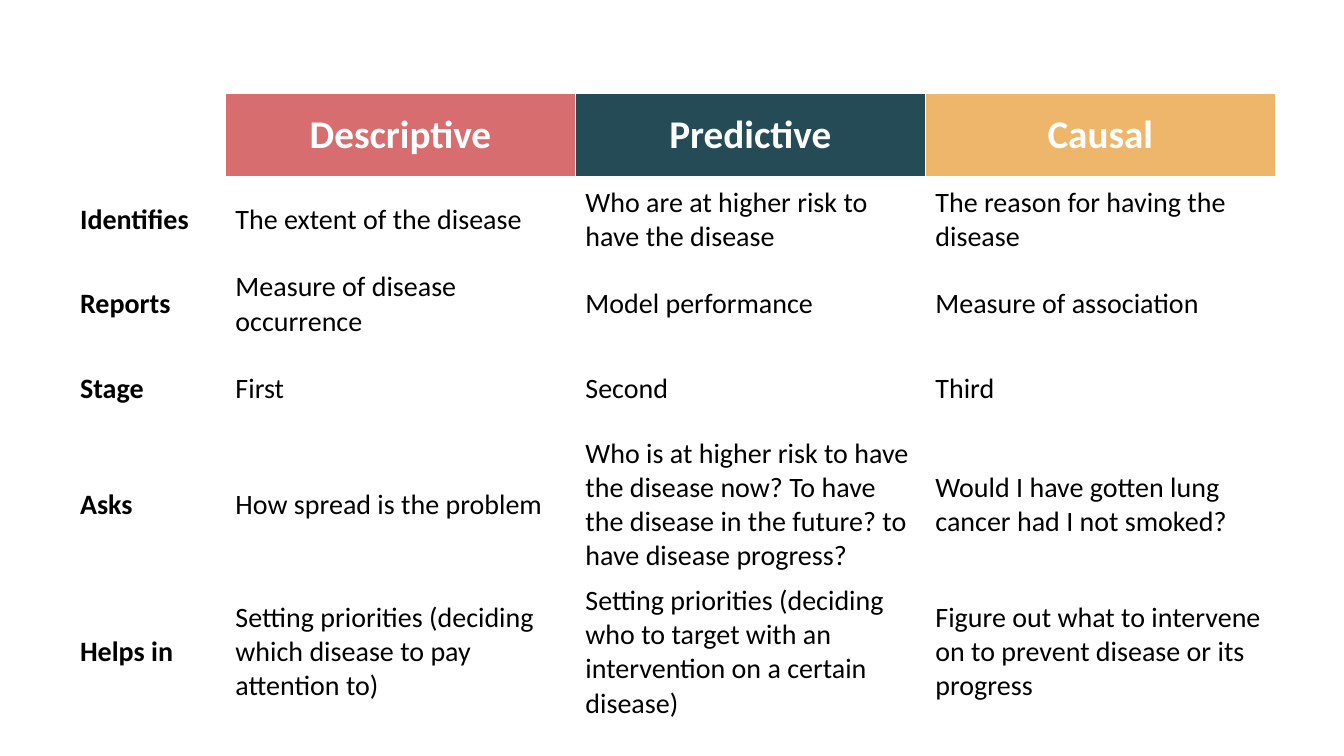
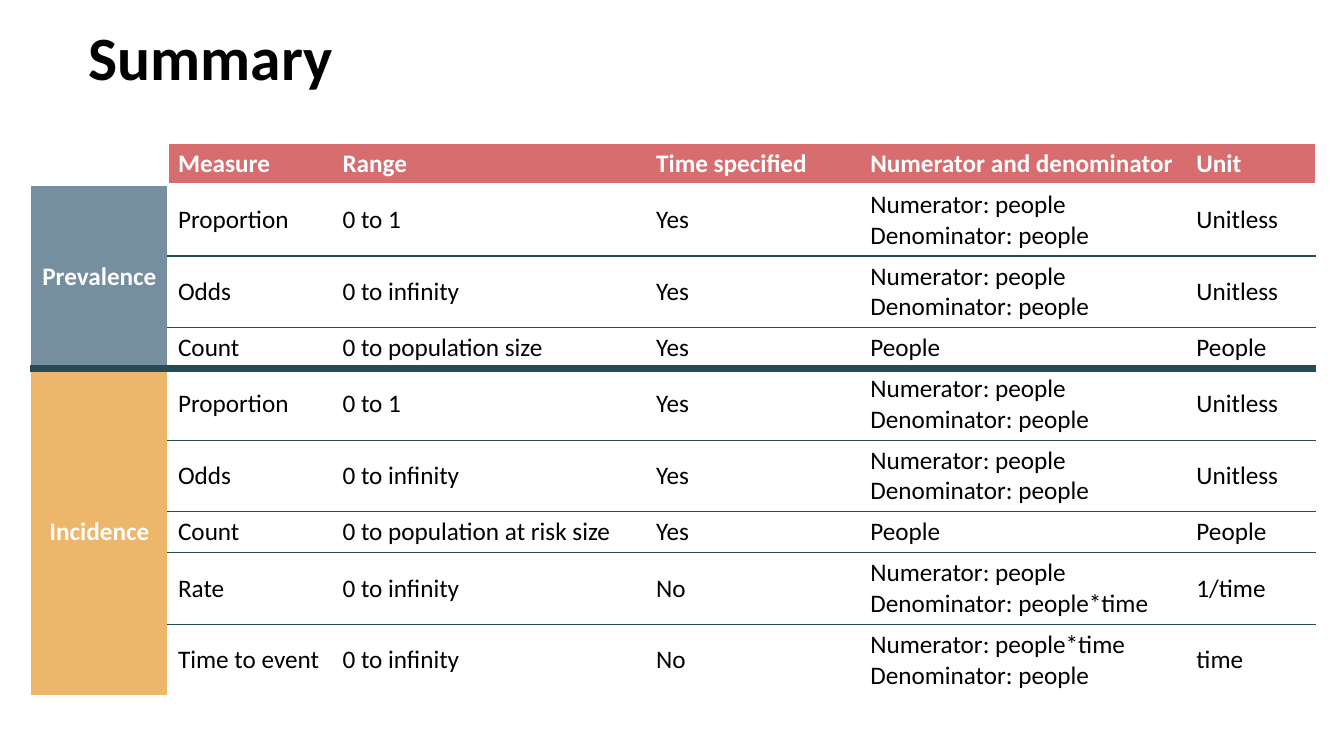
from lxml import etree
from pptx import Presentation
from pptx.dml.color import RGBColor
from pptx.enum import text as t
from pptx.oxml import ns
from pptx.util import Pt

WHITE = RGBColor(0xFF, 0xFF, 0xFF)
BLACK = RGBColor(0, 0, 0)
RED = RGBColor(0xD7, 0x6D, 0x6F)
TEAL = RGBColor(0x25, 0x4B, 0x56)
GOLD = RGBColor(0xEE, 0xB6, 0x6B)
SLATE = RGBColor(0x75, 0x8F, 0xA1)
FONT = "Calibri"
MID = t.MSO_ANCHOR.MIDDLE
LEFT, CENTER = t.PP_ALIGN.LEFT, t.PP_ALIGN.CENTER
THIN, HEAVY = (WHITE, 1), (WHITE, 3)
NONE = (WHITE, 0)


def grid(slide, left, top, widths, count, height):
    """Add a plain table of equal rows, free of header and band styling."""
    frame = slide.shapes.add_table(count, len(widths), Pt(left), Pt(top),
                                   Pt(sum(widths)), Pt(count * height))
    table = frame.table
    table.first_row = table.horz_banding = False
    for col, width in zip(table.columns, widths):
        col.width = Pt(width)
    return table


def style(cell, text, size, edges, fill=None, bold=False, align=LEFT, anchor=MID):
    """Fill in one cell; edges are (colour, width) for left, right, top, bottom."""
    props = cell._tc.get_or_add_tcPr()
    for side, (color, width) in zip("LRTB", edges):
        line = etree.SubElement(props, ns.qn(f"a:ln{side}"), w=str(Pt(width)))
        if width:
            solid = etree.SubElement(line, ns.qn("a:solidFill"))
            etree.SubElement(solid, ns.qn("a:srgbClr"), val=str(color))
        else:
            etree.SubElement(line, ns.qn("a:noFill"))
    if fill is None:
        cell.fill.background()
    else:
        cell.fill.solid()
        cell.fill.fore_color.rgb = fill
    cell.text = text
    cell.vertical_anchor = anchor
    for para in cell.text_frame.paragraphs:
        para.alignment = align
        para.font.name = FONT
        para.font.size = Pt(size)
        para.font.bold = bold
        para.font.color.rgb = BLACK if fill is None else WHITE


deck = Presentation()
deck.slide_width, deck.slide_height = Pt(960), Pt(540)

# Kinds of study
kinds = [
    ["", "Descriptive", "Predictive", "Causal"],
    ["Identifies", "The extent of the disease",
     "Who are at higher risk to have the disease",
     "The reason for having the disease"],
    ["Reports", "Measure of disease occurrence", "Model performance",
     "Measure of association"],
    ["Stage", "First", "Second", "Third"],
    ["Asks", "How spread is the problem",
     "Who is at higher risk to have the disease now? To have the disease "
     "in the future? to have disease progress?",
     "Would I have gotten lung cancer had I not smoked?"],
    ["Helps in", "Setting priorities (deciding which disease to pay attention to)",
     "Setting priorities (deciding who to target with an intervention on a "
     "certain disease)",
     "Figure out what to intervene on to prevent disease or its progress"],
]
slide = deck.slides.add_slide(deck.slide_layouts[6])
table = grid(slide, 50, 66.5, [111, 250, 250, 250], len(kinds), 60.4)
for row in table.rows:
    row.height = Pt(60.4)
heads = [None, RED, TEAL, GOLD]
for r, row in enumerate(kinds):
    for c, text in enumerate(row):
        cell = table.cell(r, c)
        if r == 0:
            style(cell, text, 28, [THIN, THIN, THIN, HEAVY], heads[c], True, CENTER)
        else:
            top = HEAVY if r == 1 else THIN
            style(cell, text, 20, [THIN, THIN, top, THIN], bold=c == 0)

# Summary of measures
slide = deck.slides.add_slide(deck.slide_layouts[5])
title = slide.shapes.title
title.left, title.top, title.width, title.height = Pt(56), Pt(5), Pt(828), Pt(76)
title.text_frame.text = "Summary"
title.text_frame.vertical_anchor = MID
para = title.text_frame.paragraphs[0]
para.alignment = LEFT
para.line_spacing = 0.9
para.font.name = FONT
para.font.size = Pt(44)
para.font.bold = True
para.font.color.rgb = BLACK

people = "Numerator: people\nDenominator: people"
share = ["Proportion", "0 to 1", "Yes", people, "Unitless"]
odds = ["Odds", "0 to infinity", "Yes", people, "Unitless"]
facts = [
    ["Measure", "Range", "Time specified", "Numerator and denominator", "Unit"],
    share,
    odds,
    ["Count", "0 to population size", "Yes", "People", "People"],
    share,
    odds,
    ["Count", "0 to population at risk size", "Yes", "People", "People"],
    ["Rate", "0 to infinity", "No", people + "*time", "1/time"],
    ["Time to event", "0 to infinity", "No",
     "Numerator: people*time\nDenominator: people", "time"],
]
groups = [("Prevalence", 1, 3, SLATE), ("Incidence", 4, 8, GOLD)]
# Horizontal rules: rules[r] lies above row r, rules[r + 1] below it
rules = [THIN, HEAVY] + [(TEAL, 1)] * 7 + [THIN]
rules[4] = (TEAL, 6)

table = grid(slide, 22, 102.5, [98, 117.5, 224, 153, 233, 92], len(facts), 29.2)
last = len(facts[0])
for r, row in enumerate(facts):
    for c, text in enumerate(row, 1):
        ends = rules[r:r + 2]
        if r == 0:
            sides = [THIN if c == 1 else NONE, THIN if c == last else NONE]
            style(table.cell(r, c), text, 18, sides + ends, RED, True,
                  anchor=t.MSO_ANCHOR.TOP)
        else:
            style(table.cell(r, c), text, 18, [THIN, THIN] + ends)
style(table.cell(0, 0), "", 18, [THIN, THIN, THIN, HEAVY], WHITE)
for name, first, final, fill in groups:
    cell = table.cell(first, 0)
    cell.merge(table.cell(final, 0))
    style(cell, name, 18, [THIN, THIN, rules[first], rules[final + 1]], fill, True, CENTER)

deck.save("out.pptx")
